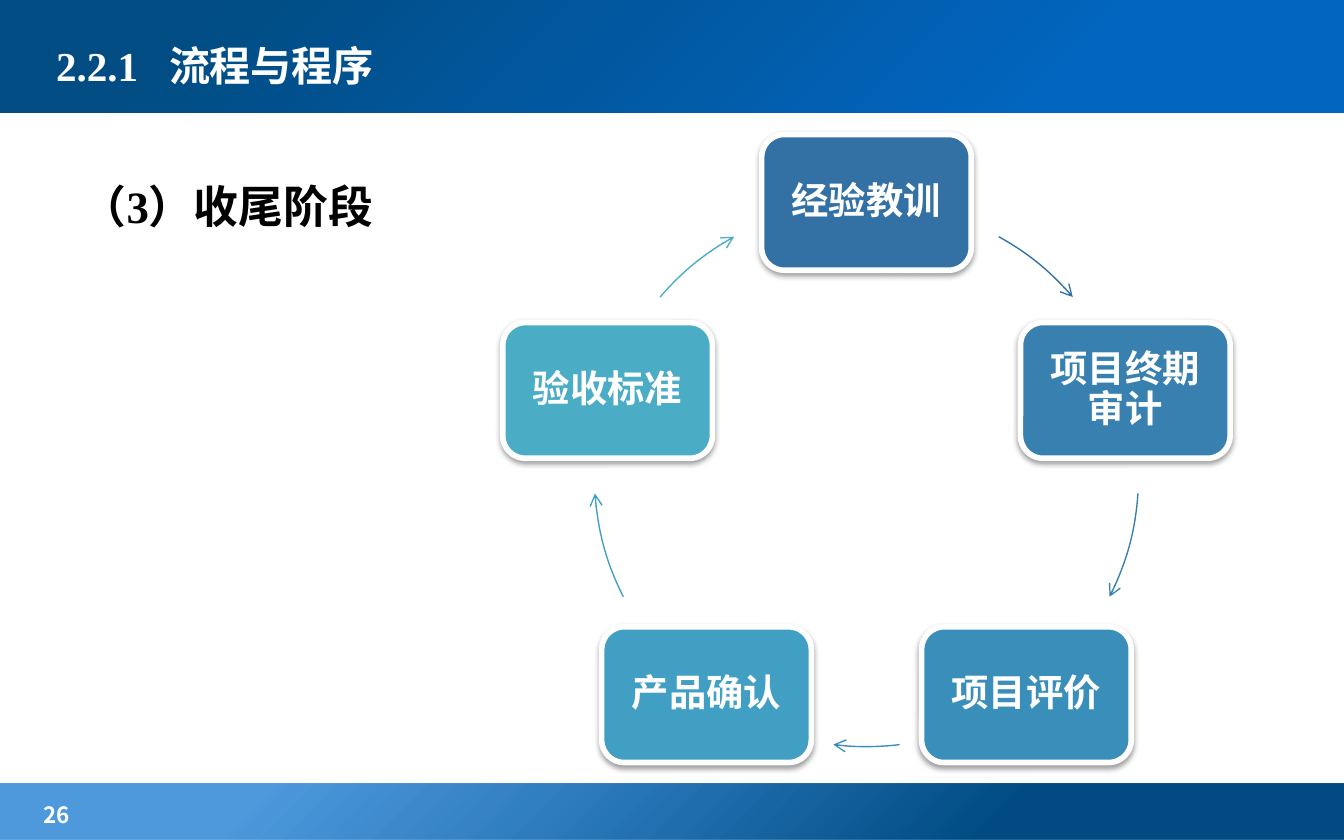
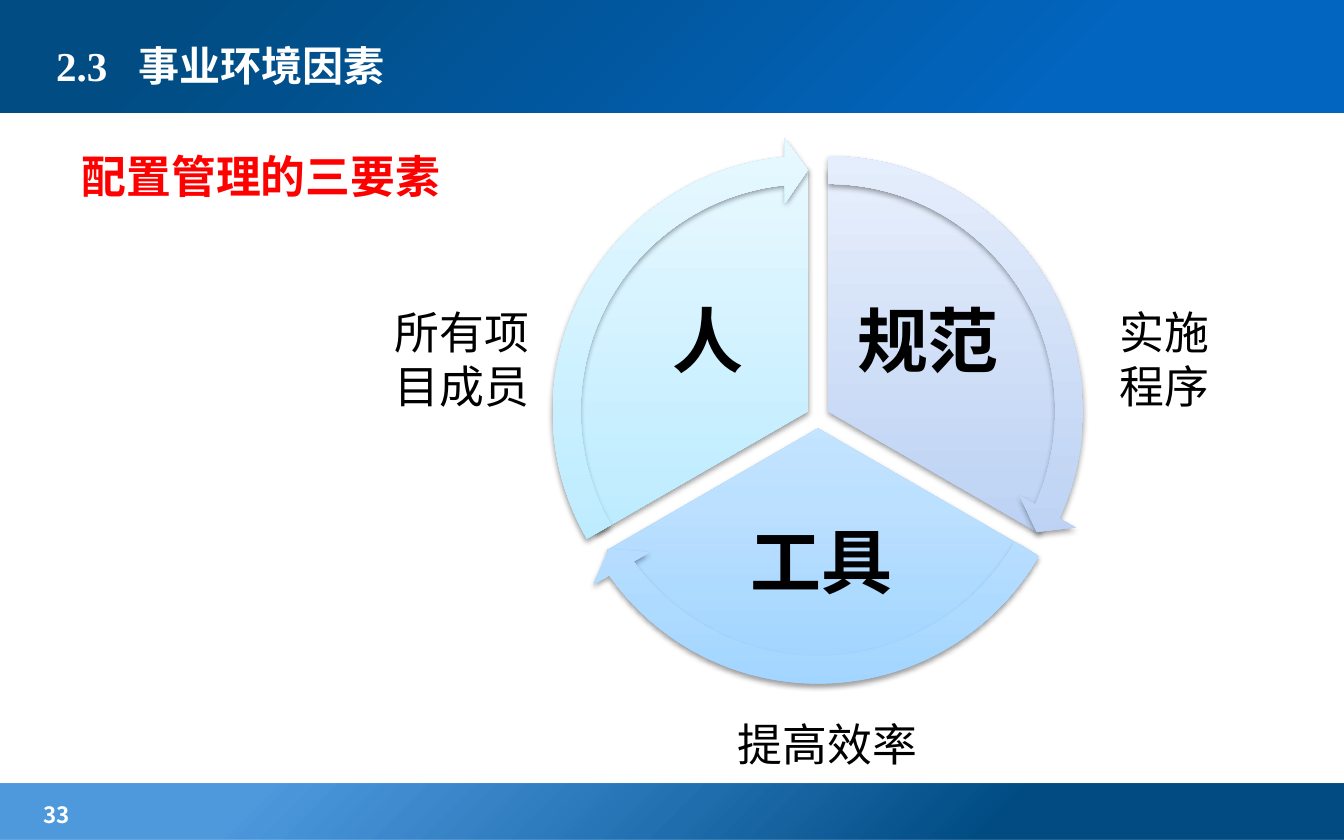
from dataclasses import dataclass, field
from math import cos, radians, sin
from typing import NamedTuple

from pptx import Presentation
from pptx.dml.color import RGBColor
from pptx.enum.shapes import MSO_SHAPE as Preset
from pptx.enum.text import MSO_ANCHOR as Anchor, PP_ALIGN as Align
from pptx.oxml import parse_xml
from pptx.oxml.ns import nsdecls
from pptx.util import Pt

COLORS = {
    "white": "FFFFFF", "black": "000000", "red": "FF0000",
    "band_dark": "014C83", "band_blue": "0265BF", "band_light": "026DCE",
    "lessons": "3371A4", "audit": "3780AF", "review": "3A8FBA",
    "confirm": "409FC3", "criteria": "4BACC6",
    "rules_deep": "A6C4F1", "rules_mid": "C1D5F4", "rules_pale": "E7EFFC",
    "tools_deep": "A0D4FF", "tools_mid": "BCE0FF", "tools_pale": "E5F3FF",
    "people_deep": "A7E6FF", "people_mid": "C1EDFF", "people_pale": "E7F8FF",
}
SERIF, SANS, CJK = "Times New Roman", "Lato", "Noto Sans CJK SC"
WIDTH, HEIGHT = 720, 450
ANGLE_UNIT = 0.6  # adjustment value of one degree


class Frame(NamedTuple):
    left: float
    top: float
    width: float
    height: float

    def lengths(self) -> list:
        return [Pt(value) for value in self]


def centred(x: float, y: float, width: float, height: float) -> Frame:
    return Frame(x - width / 2, y - height / 2, width, height)


class Stop(NamedTuple):
    position: int
    color: str
    alpha: int = 100


@dataclass(frozen=True)
class TextStyle:
    font: str
    size: float
    color: str = "black"
    bold: bool = True
    inset: float | None = None
    frame: dict = field(default_factory=dict)
    para: dict = field(default_factory=dict)


MIDDLE = {"vertical_anchor": Anchor.MIDDLE}
CENTRED = {"alignment": Align.CENTER, "line_spacing": 0.9}
TITLE = TextStyle(SERIF, 22, "white", frame=MIDDLE)
NUMBER = TextStyle(CJK, 12, "white")
HEADING = TextStyle(SERIF, 24, para={"line_spacing": 1.5})
RED_HEADING = TextStyle(SANS, 24, "red", frame={"word_wrap": False})
STEP = TextStyle(SERIF, 20, "white", inset=5.76, frame=MIDDLE, para=CENTRED)
ELEMENT = TextStyle(SANS, 38, inset=3.6, frame=MIDDLE, para=CENTRED)
NOTE = TextStyle(SANS, 24, bold=False)


class Step(NamedTuple):
    name: str
    color: str
    arc_start: float
    arc_end: float


STEPS = [
    Step("经验教训", "lessons", 299.1, 319.3),
    Step("项目终期审计", "audit", 4, 26.7),
    Step("项目评价", "review", 83, 97),
    Step("产品确认", "confirm", 153.3, 176),
    Step("验收标准", "criteria", 220.7, 240.9),
]


class Element(NamedTuple):
    name: str
    color: str
    middle: int
    name_frame: Frame
    note: str
    note_frame: Frame


ELEMENTS = [
    Element("规范", "rules", -30, Frame(450.7, 145.4, 92.9, 77.8),
            "实施程序", Frame(592.6, 159.8, 72.7, 65.5)),
    Element("工具", "tools", 90, Frame(370.1, 268.6, 139.7, 68.4),
            "提高效率", Frame(388.1, 380.2, 113, 36)),
    Element("人", "people", 210, Frame(332.6, 145.4, 92.9, 77.8),
            "所有项目成员", Frame(204.5, 159.8, 93.6, 65.5)),
]


def rgb(color: str) -> RGBColor:
    return RGBColor.from_string(COLORS[color])


def set_all(target, values: dict) -> None:
    for name, value in values.items():
        setattr(target, name, value)


def write(shape, text: str, style: TextStyle, tab: float | None = None) -> None:
    """Fill a shape with one styled paragraph; tab is an optional tab stop."""
    frame = shape.text_frame
    set_all(frame, {"word_wrap": True} | style.frame)
    if style.inset is not None:
        sides = ("left", "top", "right", "bottom")
        set_all(frame, {f"margin_{side}": Pt(style.inset) for side in sides})
    para = frame.paragraphs[0]
    set_all(para, style.para)
    if tab is not None:
        para._p.get_or_add_pPr().append(parse_xml(
            f'<a:tabLst {nsdecls("a")}><a:tab pos="{Pt(tab)}" algn="l"/></a:tabLst>'))
    span = para.add_run()
    span.text = text
    set_all(span.font, {"name": style.font, "size": Pt(style.size), "bold": style.bold})
    span.font.color.rgb = rgb(style.color)
    span.font._element.append(parse_xml(f'<a:ea {nsdecls("a")} typeface="{CJK}"/>'))


def add_text(page, frame: Frame, text: str, style: TextStyle,
             tab: float | None = None) -> None:
    write(page.shapes.add_textbox(*frame.lengths()), text, style, tab)


def add_preset(page, preset: Preset, frame: Frame, adjustments: tuple = ()):
    """Add a preset shape without fill, line or shadow."""
    shape = page.shapes.add_shape(preset, *frame.lengths())
    shape.shadow.inherit = False
    shape.fill.background()
    shape.line.fill.background()
    for index, value in enumerate(adjustments):
        shape.adjustments[index] = value
    return shape


def set_gradient(shape, stops: list[Stop], direction: str) -> None:
    """Replace the empty fill by a gradient; direction is its XML element."""
    marks = "".join(
        f'<a:gs pos="{stop.position * 1000}"><a:srgbClr val="{COLORS[stop.color]}">'
        f'<a:alpha val="{stop.alpha * 1000}"/></a:srgbClr></a:gs>' for stop in stops)
    gradient = parse_xml(f'<a:gradFill {nsdecls("a")} rotWithShape="1">'
                         f'<a:gsLst>{marks}</a:gsLst>{direction}</a:gradFill>')
    properties = shape._element.spPr
    properties.replace(properties.find("{*}noFill"), gradient)


def add_shadow(shape) -> None:
    shape._element.spPr.find("{*}effectLst").append(parse_xml(
        f'<a:outerShdw {nsdecls("a")} blurRad="{Pt(3.1)}" dist="{Pt(1.6)}" '
        f'dir="5400000" rotWithShape="0"><a:srgbClr val="{COLORS["black"]}">'
        '<a:alpha val="38000"/></a:srgbClr></a:outerShdw>'))


def add_page(deck, number: str, section: str, title: str, tab: float):
    """Add a slide with its bands, page number and title."""
    page = deck.slides.add_slide(deck.slide_layouts[6])
    corner = '<a:path path="circle"><a:fillToRect l="100000" t="100000"/></a:path>'
    bands = [
        (Frame(0, 419.8, WIDTH, 30.2),
         [Stop(26, "band_dark"), Stop(80, "band_light", 70)]),
        (Frame(0, -2.2, WIDTH, 62.6),
         [Stop(21, "band_blue"), Stop(86, "band_dark")]),
    ]
    for frame, stops in bands:
        set_gradient(add_preset(page, Preset.RECTANGLE, frame), stops, corner)
    add_text(page, Frame(16.3, 425.5, 113, 18.7), number, NUMBER)
    add_text(page, Frame(23, 9.4, 460, 51.1), f"{section}\t{title}", TITLE, tab)
    return page


def draw_cycle(page) -> None:
    """Place the steps evenly on a circle, clockwise from the top."""
    x, y, radius = 464.2, 254.2, 145.8
    circle = centred(x, y, 2 * radius, 2 * radius)
    for index, step in enumerate(STEPS):
        angle = radians(index * 360 / len(STEPS) - 90)
        frame = centred(x + radius * cos(angle), y + radius * sin(angle), 112.3, 72.7)
        box = add_preset(page, Preset.ROUNDED_RECTANGLE, frame)
        box.fill.solid()
        box.fill.fore_color.rgb = rgb(step.color)
        box.line.color.rgb = rgb("white")
        box.line.width = Pt(3)
        add_shadow(box)
        write(box, step.name, STEP)

        ends = (step.arc_start * ANGLE_UNIT, step.arc_end * ANGLE_UNIT)
        arc = add_preset(page, Preset.ARC, circle, ends)
        arc.line.color.rgb = rgb(step.color)
        arc.line.width = Pt(0.75)
        arc.line._get_or_add_ln().append(
            parse_xml(f'<a:tailEnd {nsdecls("a")} type="arrow"/>'))


def draw_wheel(page) -> None:
    """Draw three slices pushed out from the centre, then their arrows."""
    x, y, offset = 438.2, 223.4, 6.2
    pie_size, arrow_size, head = 260.6, 293, 3.275

    def add_part(element: Element, preset: Preset, size: float, adjustments: tuple) -> None:
        angle = radians(element.middle)
        frame = centred(x + offset * cos(angle), y + offset * sin(angle), size, size)
        part = add_preset(page, preset, frame, adjustments)
        stops = [Stop(position, f"{element.color}_{tone}")
                 for position, tone in ((0, "deep"), (35, "mid"), (100, "pale"))]
        set_gradient(part, stops, '<a:lin ang="16200000" scaled="0"/>')
        add_shadow(part)

    def ends(element: Element) -> tuple[float, float]:
        return tuple((element.middle + turn) % 360 * ANGLE_UNIT for turn in (-60, 60))

    for element in ELEMENTS:
        add_part(element, Preset.PIE, pie_size, ends(element))
        add_text(page, element.name_frame, element.name, ELEMENT)
    for element in ELEMENTS:
        start, end = ends(element)
        add_part(element, Preset.CIRCULAR_ARROW, arrow_size,
                 (0.051, head, end - head, start, 0.059))


def main() -> None:
    deck = Presentation()
    deck.slide_width, deck.slide_height = Pt(WIDTH), Pt(HEIGHT)

    closing = add_page(deck, "26", "2.2.1", "流程与程序", 60.5)
    add_text(closing, Frame(36.7, 77.8, 646.6, 280.8), "（3）收尾阶段", HEADING)
    draw_cycle(closing)

    factors = add_page(deck, "33", "2.3", "事业环境因素", 44)
    draw_wheel(factors)
    add_text(factors, Frame(36.7, 76.3, 208.1, 36), "配置管理的三要素", RED_HEADING)
    for element in ELEMENTS:
        add_text(factors, element.note_frame, element.note, NOTE)

    deck.save("out.pptx")


if __name__ == "__main__":
    main()
